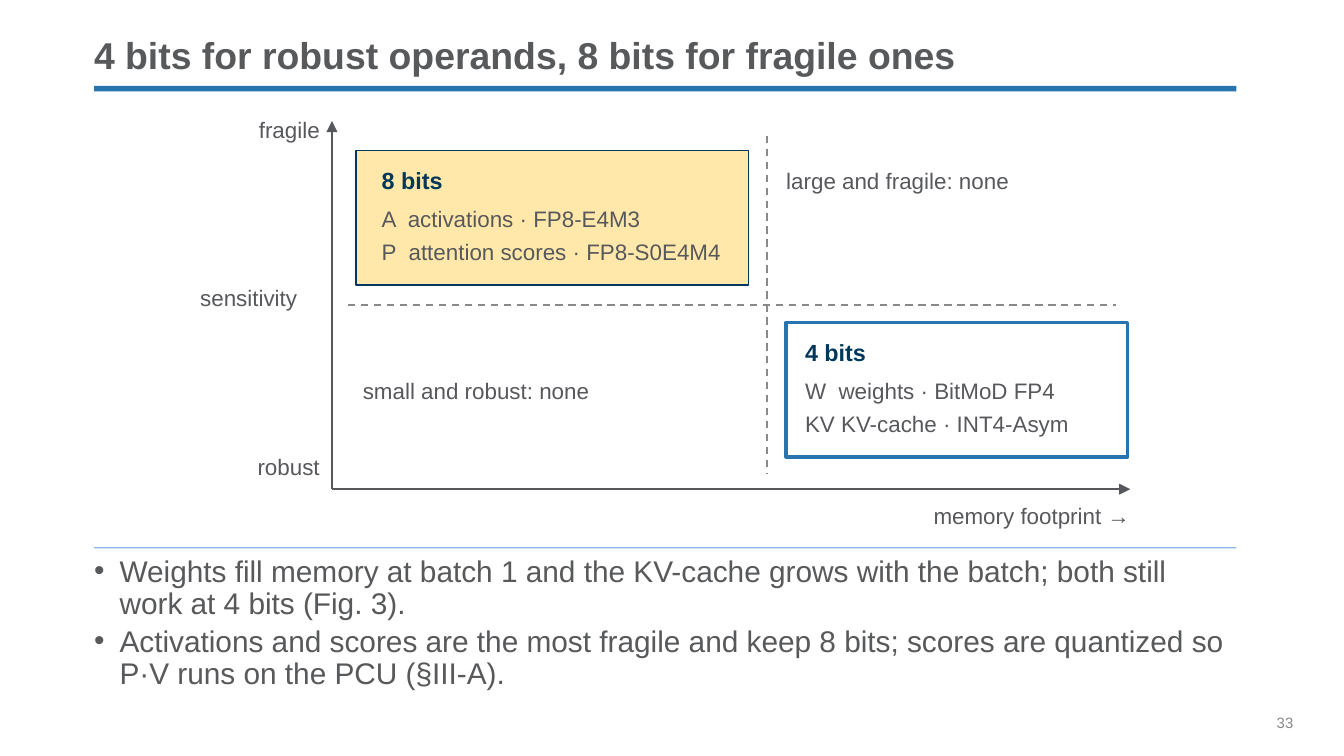
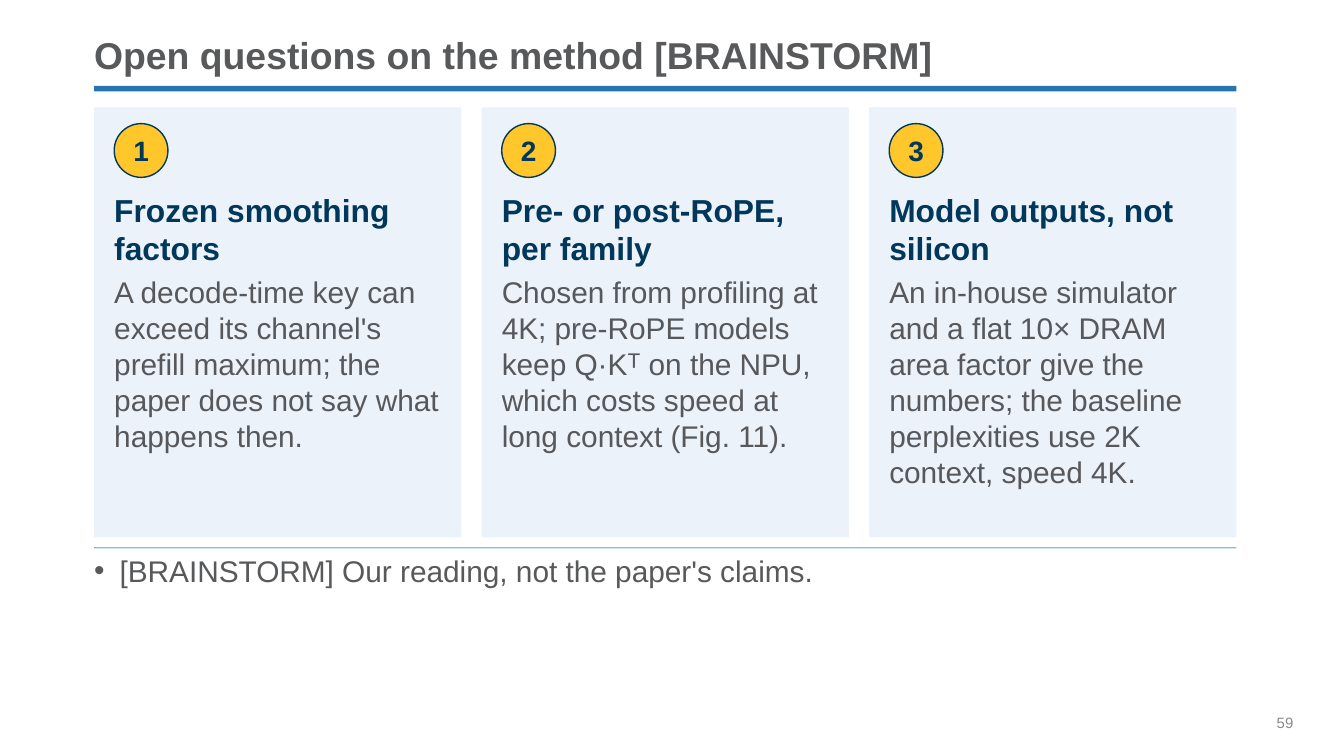
from dataclasses import dataclass

from lxml import etree
from pptx import Presentation, util as u
from pptx.dml.color import RGBColor
from pptx.enum import dml, shapes, text
from pptx.oxml.ns import qn


@dataclass(frozen=True)
class Theme:
    font: str = "Arial"
    title_ink: str = "58595B"
    ink: str = "57585B"
    navy: str = "00375B"
    blue: str = "2774AE"
    pale_blue: str = "8AB8E8"
    panel: str = "DAE6F4"
    gold: str = "FFC72B"
    grey: str = "898989"
    title: float = 20
    heading: float = 17
    body: float = 16
    badge: float = 15
    box_title: float = 12.5
    label: float = 12
    number: float = 8


THEME = Theme()
LEFT, WIDTH = 0.7, 8.5
RIGHT = text.PP_ALIGN.RIGHT
MIDDLE = text.MSO_ANCHOR.MIDDLE

# ---- Content ----
PRECISION = {
    "title": "4 bits for robust operands, 8 bits for fragile ones",
    "number": 33,
    "bullets": [
        "Weights fill memory at batch 1 and the KV-cache grows with the batch; "
        "both still work at 4 bits (Fig. 3).",
        "Activations and scores are the most fragile and keep 8 bits; "
        "scores are quantized so P·V runs on the PCU (§III‑A).",
    ],
}
# text, left, top, width, alignment
CHART_LABELS = [
    ("memory footprint →", 6.57, 3.71, 1.84, RIGHT),
    ("fragile", 1.6, 0.84, 0.78, RIGHT),
    ("robust", 1.7, 3.35, 0.68, RIGHT),
    ("sensitivity", 1.49, 2.09, 1.16, None),
    ("large and fragile: none", 5.85, 1.22, 2.32, None),
    ("small and robust: none", 2.7, 2.78, 2.23, None),
]
BIT_BOXES = [
    {"title": "8 bits", "at": (2.65, 1.12, 2.92, 1), "inset": 0.19,
     "fill": THEME.gold, "alpha": 40, "line": THEME.navy, "weight": 1,
     "rows": [("A  activations · FP8-E4M3", 2.52),
              ("P  attention scores · FP8-S0E4M4", 3.19)]},
    {"title": "4 bits", "at": (5.85, 2.4, 2.54, 1), "inset": 0.14,
     "fill": None, "alpha": None, "line": THEME.blue, "weight": 2,
     "rows": [("W  weights · BitMoD FP4", 2.32),
              ("KV KV-cache · INT4-Asym", 2.32)]},
]

QUESTIONS = {
    "title": "Open questions on the method [BRAINSTORM]",
    "number": 59,
    "bullets": ["[BRAINSTORM] Our reading, not the paper's claims."],
}
CARDS = [
    ("Frozen smoothing factors",
     "A decode-time key can exceed its channel's prefill maximum; "
     "the paper does not say what happens then."),
    ("Pre- or post-RoPE, per family",
     "Chosen from profiling at 4K; pre-RoPE models keep Q·Kᵀ on the NPU, "
     "which costs speed at long context (Fig. 11)."),
    ("Model outputs, not silicon",
     "An in-house simulator and a flat 10× DRAM area factor give the numbers; "
     "the baseline perplexities use 2K context, speed 4K."),
]


# ---- Drawing helpers ----
def rgb(value):
    return RGBColor.from_string(value)


def write(shape, lines, size, color, bold=False, align=None, anchor=None, wrap=True):
    """Put lines into a shape without margins and format every run."""
    frame = shape.text_frame
    frame.margin_left = frame.margin_right = frame.margin_top = frame.margin_bottom = 0
    frame.word_wrap = wrap
    frame.vertical_anchor = anchor or text.MSO_ANCHOR.TOP
    frame.text = "\n".join(lines)
    for para in frame.paragraphs:
        para.alignment = align
        for span in para.runs:
            span.font.name = THEME.font
            span.font.size = u.Pt(size)
            span.font.bold = bold
            span.font.color.rgb = rgb(color)
    return frame


def add_text(page, at, lines, size, color, **style):
    box = page.shapes.add_textbox(*map(u.Inches, at))
    return write(box, lines, size, color, **style)


def add_box(page, at, fill=None, alpha=None, line=None, weight=1,
            kind=shapes.MSO_SHAPE.RECTANGLE):
    box = page.shapes.add_shape(kind, *map(u.Inches, at))
    box.shadow.inherit = False
    if fill:
        box.fill.solid()
        box.fill.fore_color.rgb = rgb(fill)
    else:
        box.fill.background()
    if alpha:
        tone = box._element.spPr.find(qn("a:solidFill"))[0]
        etree.SubElement(tone, qn("a:alpha")).set("val", str(alpha * 1000))
    if line:
        box.line.color.rgb = rgb(line)
        box.line.width = u.Pt(weight)
    else:
        box.line.fill.background()
    return box


def add_line(page, start, end, color, dashed=False, arrow=False):
    line = page.shapes.add_connector(
        shapes.MSO_CONNECTOR.STRAIGHT, *map(u.Inches, start + end))
    line.line.color.rgb = rgb(color)
    line.line.width = u.Pt(1)
    if dashed:
        line.line.dash_style = dml.MSO_LINE.DASH
    props = line._element.spPr
    if arrow:
        etree.SubElement(props.find(qn("a:ln")), qn("a:tailEnd")).set("type", "triangle")
    etree.SubElement(props, qn("a:effectLst"))


def add_bullets(page, lines):
    frame = add_text(page, (LEFT, 4.14, WIDTH, 1.06), lines, THEME.body, THEME.title_ink)
    indent = u.Inches(0.19)
    for index, para in enumerate(frame.paragraphs):
        props = para._p.get_or_add_pPr()
        props.set("marL", str(indent))
        props.set("indent", str(-indent))
        etree.SubElement(props, qn("a:buFont")).set("typeface", THEME.font)
        etree.SubElement(props, qn("a:buChar")).set("char", "•")
        para.line_spacing = 0.9
        para.space_before = u.Pt(3 if index else 0)


def add_page(deck, content):
    """Blank page with the shared title, rules, bullets and page number."""
    page = deck.slides.add_slide(deck.slide_layouts[6])
    add_box(page, (LEFT, 0.64, WIDTH, 0.04), THEME.blue)
    add_box(page, (LEFT, 4.07, WIDTH, 0.01), THEME.pale_blue)
    title = add_text(page, (LEFT, 0.22, WIDTH, 0.36), [content["title"]], THEME.title,
                     THEME.title_ink, bold=True, anchor=text.MSO_ANCHOR.BOTTOM)
    title.paragraphs[0].line_spacing = 0.9
    add_bullets(page, content["bullets"])
    add_text(page, (9.5, 5.31, 0.5, 0.14), [str(content["number"])],
             THEME.number, THEME.grey)
    return page


# ---- Slides ----
def build_precision(deck):
    page = add_page(deck, PRECISION)

    # Axes from a common origin, then the quadrant dividers
    origin = (2.47, 3.64)
    for tip in [(8.41, 3.64), (2.47, 0.9)]:
        add_line(page, origin, tip, THEME.ink, arrow=True)
    for start, end in [((5.71, 1.01), (5.71, 3.52)), ((2.59, 2.27), (8.3, 2.27))]:
        add_line(page, start, end, THEME.grey, dashed=True)

    for label, left, top, width, align in CHART_LABELS:
        add_text(page, (left, top, width, 0.25), [label], THEME.label, THEME.ink,
                 align=align, anchor=MIDDLE, wrap=False)

    # Occupied quadrants
    for item in BIT_BOXES:
        left, top, _, _ = item["at"]
        add_box(page, item["at"], item["fill"], item["alpha"], item["line"], item["weight"])
        left += item["inset"]
        add_text(page, (left, top + 0.09, 0.7, 0.26), [item["title"]], THEME.box_title,
                 THEME.navy, bold=True, anchor=MIDDLE, wrap=False)
        for index, (row, width) in enumerate(item["rows"]):
            add_text(page, (left, top + 0.38 + 0.25 * index, width, 0.25),
                     [row], THEME.label, THEME.ink, anchor=MIDDLE, wrap=False)


def build_questions(deck):
    page = add_page(deck, QUESTIONS)
    gap, pad, top = 0.15, 0.15, 0.8
    width = (WIDTH - gap * (len(CARDS) - 1)) / len(CARDS)
    for index, (heading, body) in enumerate(CARDS):
        left = LEFT + index * (width + gap)
        add_box(page, (left, top, width, 3.2), THEME.panel, alpha=50)
        left += pad
        inner = width - 2 * pad
        badge = add_box(page, (left, top + 0.12, 0.4, 0.4), THEME.gold, line=THEME.navy,
                        weight=0.75, kind=shapes.MSO_SHAPE.OVAL)
        write(badge, [str(index + 1)], THEME.badge, THEME.navy, bold=True,
              align=text.PP_ALIGN.CENTER, anchor=MIDDLE)
        add_text(page, (left, top + 0.62, inner, 0.58), [heading], THEME.heading,
                 THEME.navy, bold=True)
        add_text(page, (left, top + 1.24, inner, 1.9), [body], THEME.body, THEME.ink)


def main():
    deck = Presentation()
    # Widescreen, 16:9
    deck.slide_width = u.Inches(10)
    deck.slide_height = u.Inches(10) * 9 // 16
    build_precision(deck)
    build_questions(deck)
    deck.save("out.pptx")


if __name__ == "__main__":
    main()
